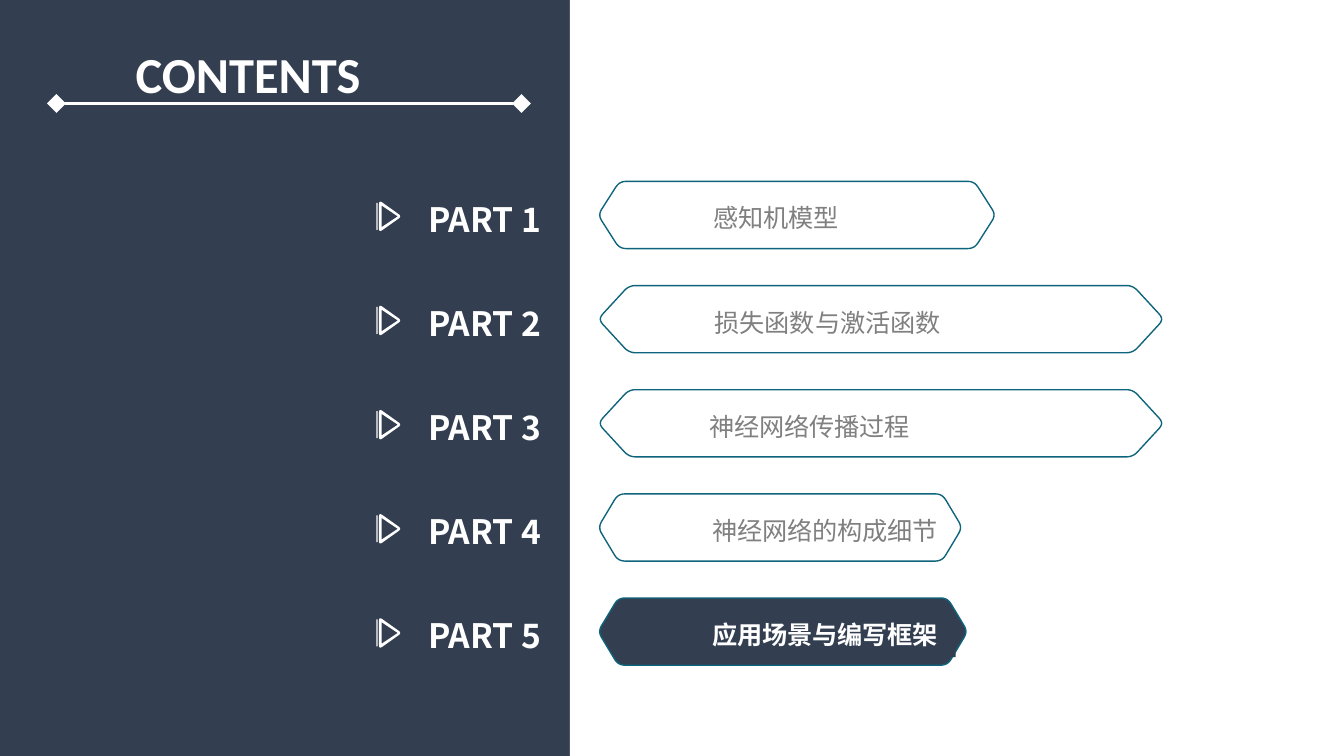
import lxml.etree
import pptx
import pptx.dml.color
import pptx.enum.shapes
import pptx.oxml.ns
import pptx.util

WIDTH = 10
HEIGHT = WIDTH * 9 / 16
PANEL_LEFT = 4.24
ROW_TOP, ROW_PITCH, ROW_HEIGHT = 1.35, 0.775, 0.5
ICON_LEFT, PART_LEFT, BANNER_LEFT = 2.8, 3.09, 4.46
CJK_FONT = "Noto Sans CJK SC"
COLORS = {"navy": "333F50", "white": "FFFFFF", "teal": "0E647C", "gray": "808080"}

# label, label left, label width, banner width, banner slant
PARTS = [
    ("感知机模型", 5.21, 2.05, 2.94, 0.16),
    ("损失函数与激活函数", 5.22, 1.91, 4.19, 0.23),
    ("神经网络传播过程", 5.18, 3.25, 4.19, 0.23),
    ("神经网络的构成细节", 5.2, 1.91, 2.69, 0.15),
    ("应用场景与编写框架", 5.2, 1.91, 2.73, 0.15),
]


def color(name):
    return pptx.dml.color.RGBColor.from_string(COLORS[name])


def paint(shape, fill=None, line=None):
    shape.shadow.inherit = False
    if fill:
        shape.fill.solid()
        shape.fill.fore_color.rgb = color(fill)
    else:
        shape.fill.background()
    if line:
        shape.line.color.rgb = color(line)
        shape.line.width = pptx.util.Pt(0.75)
    else:
        shape.line.fill.background()


def add_text(slide, text, box, size, font_name, text_color, bold=False):
    shape = slide.shapes.add_textbox(*map(pptx.util.Inches, box))
    shape.text_frame.word_wrap = True
    paragraph = shape.text_frame.paragraphs[0]
    paragraph.text = text
    font = paragraph.font
    font.size, font.bold, font.name = pptx.util.Pt(size), bold, font_name
    font.color.rgb = color(text_color)
    properties = paragraph._p.pPr.find(pptx.oxml.ns.qn("a:defRPr"))
    east_asian = lxml.etree.SubElement(properties, pptx.oxml.ns.qn("a:ea"))
    east_asian.set("typeface", CJK_FONT)
    return shape


def add_outline(slide, contours):
    """Draw closed contours, given in inches, as one freeform."""
    contours = [[tuple(map(pptx.util.Inches, point)) for point in contour]
                for contour in contours]
    builder = slide.shapes.build_freeform(*contours[0][0], scale=1)
    for index, contour in enumerate(contours):
        if index:
            builder.move_to(*contour[0])
        builder.add_line_segments(contour[1:], close=True)
    return builder.convert_to_shape()


def round_corners(corners, cut):
    """Replace each corner by a short curve starting cut inches before it."""
    points = []
    for index, (x, y) in enumerate(corners):
        ends = []
        for other_x, other_y in (corners[index - 1], corners[(index + 1) % len(corners)]):
            share = cut / ((other_x - x) ** 2 + (other_y - y) ** 2) ** 0.5
            ends.append((x + (other_x - x) * share, y + (other_y - y) * share))
        (start_x, start_y), (end_x, end_y) = ends
        for step in range(7):
            t = step / 6
            a, b, c = (1 - t) ** 2, 2 * t * (1 - t), t ** 2
            points.append((a * start_x + b * x + c * end_x,
                           a * start_y + b * y + c * end_y))
    return points


def add_banner(slide, top, width, slant, fill):
    left, right = BANNER_LEFT - 0.01, BANNER_LEFT + width + 0.01
    middle, bottom = top + ROW_HEIGHT / 2, top + ROW_HEIGHT
    corners = [(left, middle), (left + slant, top), (right - slant, top),
               (right, middle), (right - slant, bottom), (left + slant, bottom)]
    paint(add_outline(slide, [round_corners(corners, 0.05)]), fill, "teal")


def add_play_icon(slide, top):
    left, middle, bottom = ICON_LEFT, top + 0.1, top + 0.2
    outer = round_corners([(left + 0.02, top - 0.02), (left + 0.19, middle),
                           (left + 0.02, bottom + 0.02)], 0.03)
    inner = [(left + 0.04, top + 0.02), (left + 0.04, bottom - 0.02),
             (left + 0.16, middle)]
    bar = [(left, top), (left + 0.01, top), (left + 0.01, bottom), (left, bottom)]
    paint(add_outline(slide, [outer, inner, bar]), "white")


def add_title_rule(slide):
    ends = map(pptx.util.Inches, (0.42, 0.77, 3.88, 0.77))
    rule = slide.shapes.add_connector(pptx.enum.shapes.MSO_CONNECTOR.STRAIGHT, *ends)
    rule.line.color.rgb = color("white")
    rule.line.width = pptx.util.Pt(2)
    line = rule.line._get_or_add_ln()
    for tag in ("a:headEnd", "a:tailEnd"):
        end = lxml.etree.SubElement(line, pptx.oxml.ns.qn(tag))
        for name, value in (("type", "diamond"), ("w", "lg"), ("len", "lg")):
            end.set(name, value)
    lxml.etree.SubElement(rule._element.spPr, pptx.oxml.ns.qn("a:effectLst"))


def add_part(slide, index, label, label_left, label_width, width, slant):
    top = ROW_TOP + index * ROW_PITCH
    current = index == len(PARTS) - 1
    add_play_icon(slide, top + 0.16)
    add_text(slide, f"PART {index + 1}", (PART_LEFT, top + 0.08, 1.27, 0.4),
             18, CJK_FONT, "white", bold=True)
    add_banner(slide, top, width, slant, "navy" if current else None)
    label_shape = add_text(slide, label, (label_left, top + 0.11, label_width, 0.33), 13.5,
                           CJK_FONT if current else "Calibri",
                           "white" if current else "gray", bold=current)
    if current:
        paint(label_shape, "navy")


def main():
    presentation = pptx.Presentation()
    presentation.slide_width = pptx.util.Inches(WIDTH)
    presentation.slide_height = pptx.util.Inches(HEIGHT)
    slide = presentation.slides.add_slide(presentation.slide_layouts[6])
    slide.background.fill.solid()
    slide.background.fill.fore_color.rgb = color("navy")
    panel = slide.shapes.add_shape(
        pptx.enum.shapes.MSO_SHAPE.RECTANGLE,
        *map(pptx.util.Inches, (PANEL_LEFT, 0, WIDTH - PANEL_LEFT, HEIGHT)))
    paint(panel, "white")
    add_text(slide, "CONTENTS", (0.91, 0.27, 3.69, 0.56), 27, "Calibri", "white", bold=True)
    add_title_rule(slide)
    for index, part in enumerate(PARTS):
        add_part(slide, index, *part)
    presentation.save("out.pptx")


if __name__ == "__main__":
    main()
